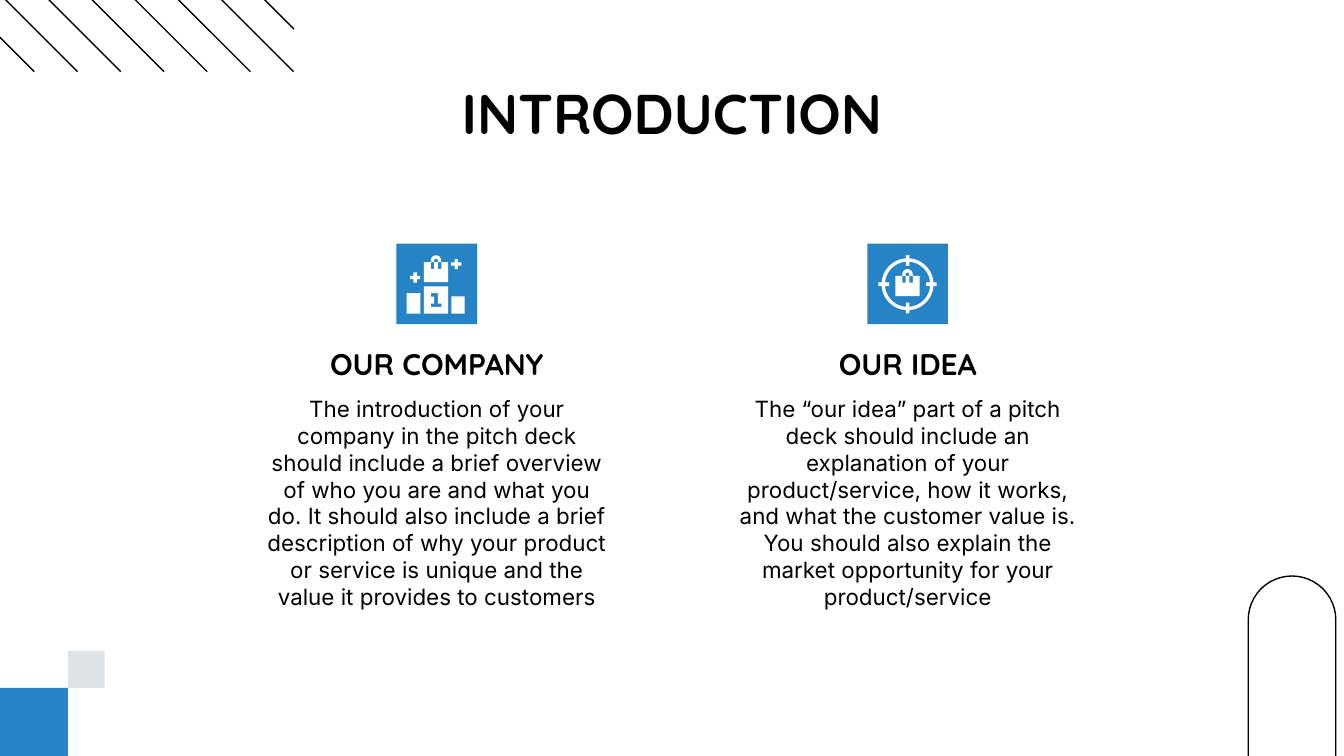
from math import asin, cos, pi, sin

from lxml.etree import SubElement
from pptx import Presentation
from pptx.dml.color import RGBColor
from pptx.enum.shapes import MSO_CONNECTOR as Conn, MSO_SHAPE as Kind
from pptx.enum.text import MSO_ANCHOR as Anchor, MSO_AUTO_SIZE as Auto, PP_ALIGN as Align
from pptx.oxml.ns import qn
from pptx.util import Pt

BLACK = RGBColor(0x00, 0x00, 0x00)
WHITE = RGBColor(0xFF, 0xFF, 0xFF)
BLUE = RGBColor(0x26, 0x83, 0xC6)
GREY = RGBColor(0xDF, 0xE3, 0xE5)
HEAD, BODY = "Quicksand", "Inter"
TILE, TILE_TOP = 43.2, 130.5
COL_W = 197.2

COMPANY = (
    "The introduction of your company in the pitch deck should include a brief "
    "overview of who you are and what you do. It should also include a brief "
    "description of why your product or service is unique and the value it "
    "provides to customers"
)
IDEA = (
    "The “our idea” part of a pitch deck should include an explanation of your "
    "product/service, how it works, and what the customer value is. You should "
    "also explain the market opportunity for your product/service"
)


def paint(shape, fill=None, line=None):
    """Set the fill and outline of a shape, with no shadow."""
    shape.shadow.inherit = False
    if fill is None:
        shape.fill.background()
    else:
        shape.fill.solid()
        shape.fill.fore_color.rgb = fill
    if line is None:
        shape.line.fill.background()
    else:
        shape.line.color.rgb = line
        shape.line.width = Pt(0.75)


def add_box(slide, x, y, w, h, fill=None, line=None, kind=Kind.RECTANGLE):
    """Add a preset shape."""
    box = slide.shapes.add_shape(kind, Pt(x), Pt(y), Pt(w), Pt(h))
    paint(box, fill, line)
    return box


def add_line(slide, x1, y1, x2, y2):
    """Add a thin black line."""
    line = slide.shapes.add_connector(Conn.STRAIGHT, Pt(x1), Pt(y1), Pt(x2), Pt(y2))
    line.line.color.rgb = BLACK
    line.line.width = Pt(0.75)
    SubElement(line._element.spPr, qn("a:effectLst"))


def add_free(slide, x, y, *loops):
    """Add a white outline made of closed loops around the point x, y."""
    pen = None
    for loop in loops:
        pts = [(Pt(x + dx), Pt(y + dy)) for dx, dy in loop]
        if pen is None:
            pen = slide.shapes.build_freeform(*pts[0], scale=1.0)
        else:
            pen.move_to(*pts[0])
        pen.add_line_segments(pts[1:], close=True)
    paint(pen.convert_to_shape(), WHITE)


def set_text(shape, text, font, size, bold=False, anchor=Anchor.TOP):
    """Write one centred run into a shape."""
    frame = shape.text_frame
    frame.word_wrap = True
    frame.auto_size = Auto.NONE
    frame.vertical_anchor = anchor
    frame.margin_left = frame.margin_right = Pt(7.2)
    frame.margin_top = frame.margin_bottom = Pt(7.2)
    par = frame.paragraphs[0]
    par.alignment = Align.CENTER
    run = par.add_run()
    run.text = text
    run.font.name = font
    run.font.size = Pt(size)
    run.font.bold = bold
    run.font.color.rgb = BLACK


def add_text(slide, x, y, w, h, *args, **opts):
    """Add a text box."""
    set_text(slide.shapes.add_textbox(Pt(x), Pt(y), Pt(w), Pt(h)), *args, **opts)


def arc(rad, start, end, steps=16):
    """Return points along an arc around the origin."""
    turns = [start + (end - start) * i / steps for i in range(steps + 1)]
    return [(rad * cos(t), rad * sin(t)) for t in turns]


def cross(rad, tip, half=0.95):
    """Return a circle with four square ticks that reach to tip."""
    gap = asin(half / rad)
    part = [(tip, -half), (tip, half)] + arc(rad, gap, pi / 2 - gap)
    loop = []
    for _ in range(4):
        loop += part
        part = [(-y, x) for x, y in part]
    return loop


def add_bag(slide, mid, top):
    """Add a shopping bag, its body starting at top."""
    add_free(slide, mid, top, [
        (-6.5, 0), (-6.5, 10.8), (6.5, 10.8), (6.5, 0), (2.8, 0), (2.8, 3.6),
        (1, 3.6), (1, 0), (-1, 0), (-1, 3.6), (-2.8, 3.6), (-2.8, 0)])
    outer = [(x, y - 0.8) for x, y in arc(2.8, pi, 2 * pi)]
    inner = [(x, y - 0.8) for x, y in arc(1, 2 * pi, pi)]
    add_free(slide, mid, top, [(-2.8, 0), *outer, (2.8, 0), (1, 0), *inner, (-1, 0)])


def add_plus(slide, x, y, arm=2.7, half=0.9):
    """Add a plus sign centred on x, y."""
    part = [(arm, -half), (arm, half), (half, half)]
    loop = []
    for _ in range(4):
        loop += part
        part = [(-b, a) for a, b in part]
    add_free(slide, x, y, loop)


def draw_podium(slide, mid):
    """Draw the winner's podium icon."""
    add_bag(slide, mid - 0.4, 140.4)
    block = [(-6.5, 0), (-6.5, 14.6), (6.5, 14.6), (6.5, 0)]
    one = [(1, 3.7), (1, 9.2), (2.8, 9.2), (2.8, 11), (-2.8, 11),
           (-2.8, 9.2), (-1, 9.2), (-1, 5.5), (-2.8, 5.5), (-2.8, 3.7)]
    add_free(slide, mid - 0.4, 153.4, block, one)
    add_plus(slide, mid + 10.4, 141.5)
    add_plus(slide, mid - 11.6, 148.7)
    add_box(slide, mid - 16.2, 157, 7.4, 11, WHITE)
    add_box(slide, mid + 7.8, 158.8, 7.2, 9.2, WHITE)


def draw_target(slide, mid):
    """Draw the target icon."""
    add_bag(slide, mid - 0.1, 147.8)
    add_free(slide, mid - 0.1, 152.3, cross(13.9, 15.6), cross(12.1, 9.9))


def add_col(slide, mid, draw, head, body):
    """Add a column with an icon, a heading and a text."""
    left = mid - COL_W / 2
    add_box(slide, mid - TILE / 2, TILE_TOP, TILE, TILE, BLUE)
    draw(slide, mid)
    add_text(slide, left, 173.7, COL_W, 38, head, HEAD, 16, bold=True, anchor=Anchor.BOTTOM)
    add_text(slide, left, 204.5, COL_W, 129.6, body, BODY, 12)


def add_decor(slide):
    """Add the corner shapes and the slanted lines."""
    arch = add_box(slide, 668.7, 308.6, 46.9, 108, line=BLACK,
                   kind=Kind.ROUND_2_SAME_RECTANGLE)
    arch.adjustments[0] = 0.5
    add_box(slide, 0, 368.6, 36.4, 36.4, BLUE)
    add_box(slide, 36.4, 348.9, 19.7, 19.7, GREY)
    for i in range(7):
        end = 18.4 + 23.15 * i
        add_line(slide, end - 57.6, -19.2, end, 38.4)
    add_line(slide, 123, -18.9, 157.5, 15.6)


def main():
    """Build the slide and save it."""
    deck = Presentation()
    deck.slide_width, deck.slide_height = Pt(720), Pt(405)
    slide = deck.slides.add_slide(deck.slide_layouts[5])
    add_decor(slide)
    title = slide.shapes.title
    title.left, title.top, title.width, title.height = Pt(56.7), Pt(35.1), Pt(606.6), Pt(45.4)
    set_text(title, "INTRODUCTION", HEAD, 30, bold=True)
    add_col(slide, 234, draw_podium, "OUR COMPANY", COMPANY)
    add_col(slide, 486.3, draw_target, "OUR IDEA", IDEA)
    deck.save("out.pptx")


if __name__ == "__main__":
    main()
